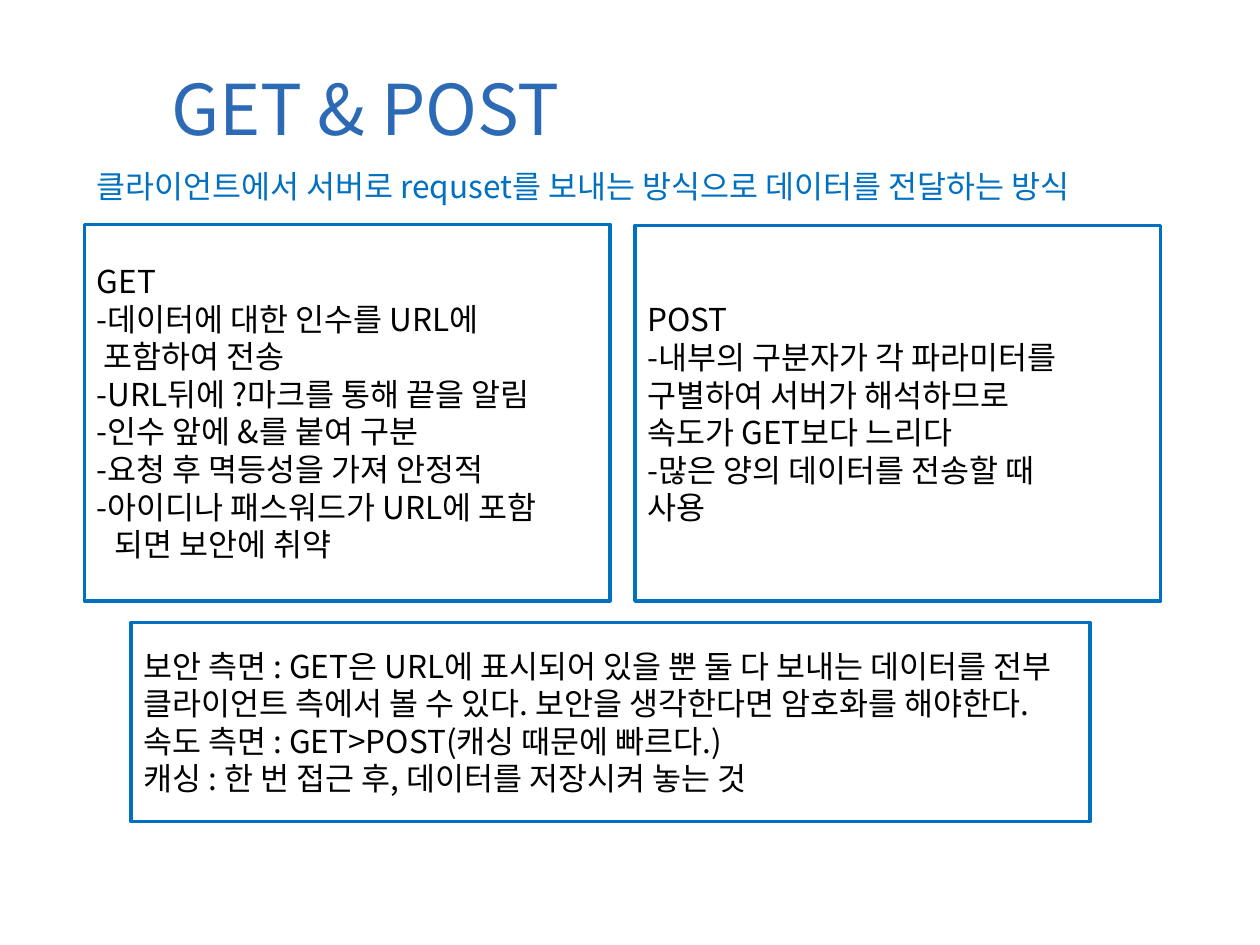
from dataclasses import dataclass
from pptx import Presentation
from pptx.dml.color import RGBColor as Rgb
from pptx.enum.shapes import MSO_SHAPE as Kind
from pptx.enum.text import MSO_ANCHOR as Anchor, PP_ALIGN as Align
from pptx.util import Pt


@dataclass(frozen=True)
class Theme:
    font: str = "Noto Sans CJK KR"
    title: Rgb = Rgb(0x2D, 0x6A, 0xB6)
    blue: Rgb = Rgb(0x00, 0x70, 0xC0)
    ink: Rgb = Rgb(0, 0, 0)
    paper: Rgb = Rgb(255, 255, 255)
    large: int = 40
    body: int = 18
    lead: float = 21.5


theme = Theme()
deck = Presentation()
deck.slide_width, deck.slide_height = Pt(720), Pt(540)
slide = deck.slides.add_slide(deck.slide_layouts[6])


def write(shape, lines, size, color, lead=None, anchor=Anchor.MIDDLE):
    frame = shape.text_frame
    frame.word_wrap = True
    frame.vertical_anchor = anchor
    frame.text = "\n".join(lines)
    for para in frame.paragraphs:
        para.alignment = Align.LEFT
        para.font.name = theme.font
        para.font.size = Pt(size)
        para.font.color.rgb = color
        if lead:
            para.line_spacing = Pt(lead)
        if "\v" in para.text:
            props = para._p.get_or_add_pPr()
            props.set("marL", str(Pt(10)))
            props.set("indent", str(-Pt(10)))


title = slide.shapes.add_textbox(Pt(90.72), Pt(30.96), Pt(453.6), Pt(61.2))
write(title, ["GET & POST"], theme.large, theme.title)

intro = slide.shapes.add_textbox(Pt(48.24), Pt(92.16), Pt(626.4), Pt(28.8))
write(intro, ["클라이언트에서 서버로 requset를 보내는 방식으로 데이터를 전달하는 방식"],
      theme.body, theme.blue, theme.lead, Anchor.TOP)

panels = [
    ((48.24, 128.16, 300.24, 215.28), [
        "GET",
        "-데이터에 대한 인수를 URL에",
        " 포함하여 전송",
        "-URL뒤에 ?마크를 통해 끝을 알림",
        "-인수 앞에 &를 붙여 구분",
        "-요청 후 멱등성을 가져 안정적",
        "-아이디나 패스워드가 URL에 포함\v되면 보안에 취약",
    ]),
    ((362.88, 128.88, 300.24, 214.56), [
        "POST",
        "-내부의 구분자가 각 파라미터를",
        "구별하여 서버가 해석하므로",
        "속도가 GET보다 느리다",
        "-많은 양의 데이터를 전송할 때",
        "사용",
    ]),
    ((74.88, 355.68, 547.92, 113.76), [
        "보안 측면 : GET은 URL에 표시되어 있을 뿐 둘 다 보내는 데이터를 "
        "전부 클라이언트 측에서 볼 수 있다. 보안을 생각한다면 암호화를 해야한다.",
        "속도 측면 : GET>POST(캐싱 때문에 빠르다.)",
        "캐싱 : 한 번 접근 후, 데이터를 저장시켜 놓는 것",
    ]),
]
for place, lines in panels:
    panel = slide.shapes.add_shape(Kind.RECTANGLE, *map(Pt, place))
    panel.shadow.inherit = False
    panel.fill.solid()
    panel.fill.fore_color.rgb = theme.paper
    panel.line.color.rgb = theme.blue
    panel.line.width = Pt(2)
    write(panel, lines, theme.body, theme.ink, theme.lead)

deck.save("out.pptx")
